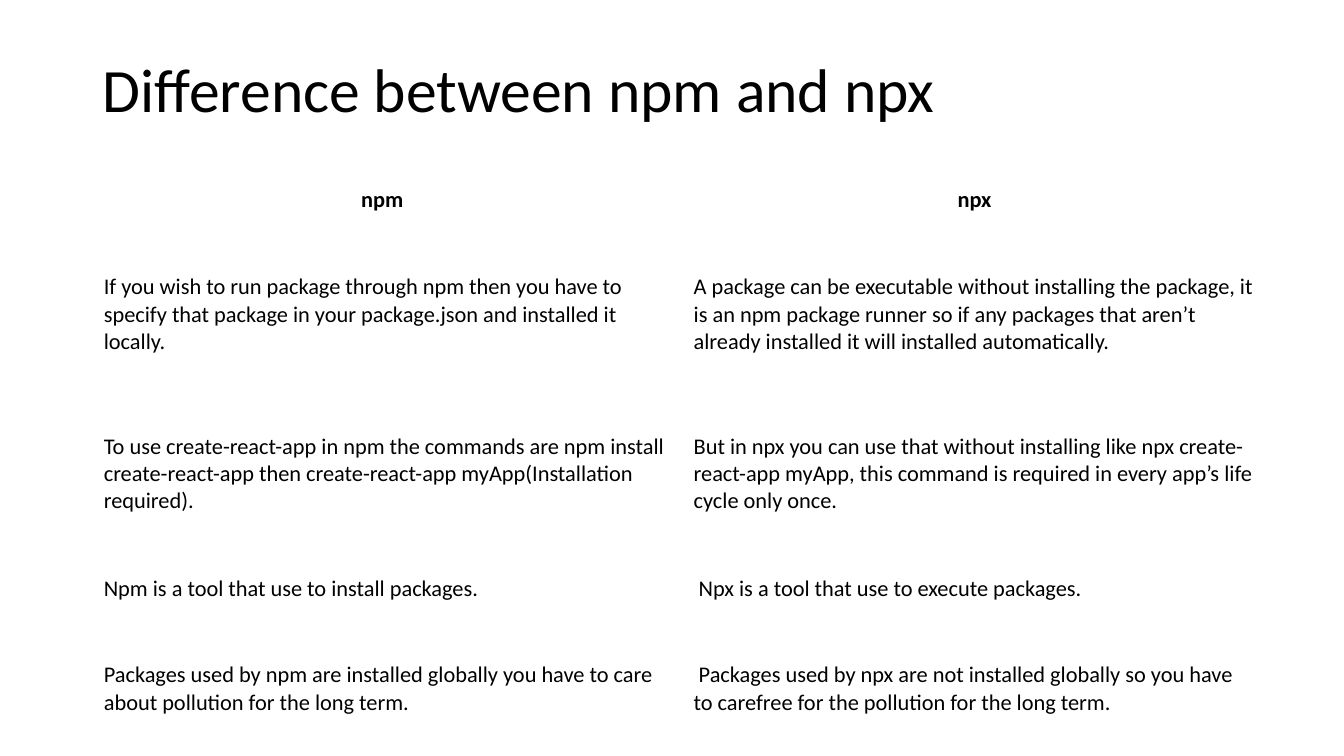
import pptx
import pptx.util
import pptx.dml.color
import pptx.enum.text

Inches = pptx.util.Inches
Pt = pptx.util.Pt
BLACK = pptx.dml.color.RGBColor(0, 0, 0)
WHITE = pptx.dml.color.RGBColor(255, 255, 255)
MIDDLE = pptx.enum.text.MSO_ANCHOR.MIDDLE
ALIGN = pptx.enum.text.PP_ALIGN


def style(para, size, bold=False):
    para.font.name = "Calibri"
    para.font.size = Pt(size)
    para.font.bold = bold
    para.font.color.rgb = BLACK


deck = pptx.Presentation()
deck.slide_width = Inches(13.33)
deck.slide_height = Inches(7.5)
slide = deck.slides.add_slide(deck.slide_layouts[6])

title = slide.shapes.add_textbox(Inches(0.92), Inches(0.19), Inches(11.5), Inches(1.45))
frame = title.text_frame
frame.word_wrap = True
frame.vertical_anchor = MIDDLE
para = frame.paragraphs[0]
para.text = "Difference between npm and npx"
para.line_spacing = 0.9
style(para, 44)

rows = [
    ("npm ", "npx"),
    ("If you wish to run package through npm then you have to specify that package in your package.json and installed it locally.",
     "A package can be executable without installing the package, it is an npm package runner so if any packages that aren’t already installed it will installed automatically."),
    ("To use create-react-app in npm the commands are npm install create-react-app then create-react-app myApp(Installation required).",
     "But in npx you can use that without installing like npx create-react-app myApp, this command is required in every app’s life cycle only once."),
    ("Npm is a tool that use to install packages.",
     " Npx is a tool that use to execute packages."),
    ("Packages used by npm are installed globally you have to care about pollution for the long term.",
     " Packages used by npx are not installed globally so you have to carefree for the pollution for the long term. "),
]
tall = [0.7, 1.58, 1.58, 0.7, 1.29]

table = slide.shapes.add_table(
    len(rows), 2, Inches(0.89), Inches(1.63), Inches(11.7), Inches(sum(tall))).table
for r, pair in enumerate(rows):
    table.rows[r].height = Inches(tall[r])
    for c, text in enumerate(pair):
        cell = table.cell(r, c)
        cell.fill.solid()
        cell.fill.fore_color.rgb = WHITE
        cell.vertical_anchor = MIDDLE
        cell.margin_left = cell.margin_right = Inches(0.14)
        cell.margin_top = cell.margin_bottom = Inches(0.19)
        para = cell.text_frame.paragraphs[0]
        para.text = text
        para.alignment = ALIGN.CENTER if r == 0 else ALIGN.LEFT
        style(para, 16, r == 0)

deck.save("out.pptx")
